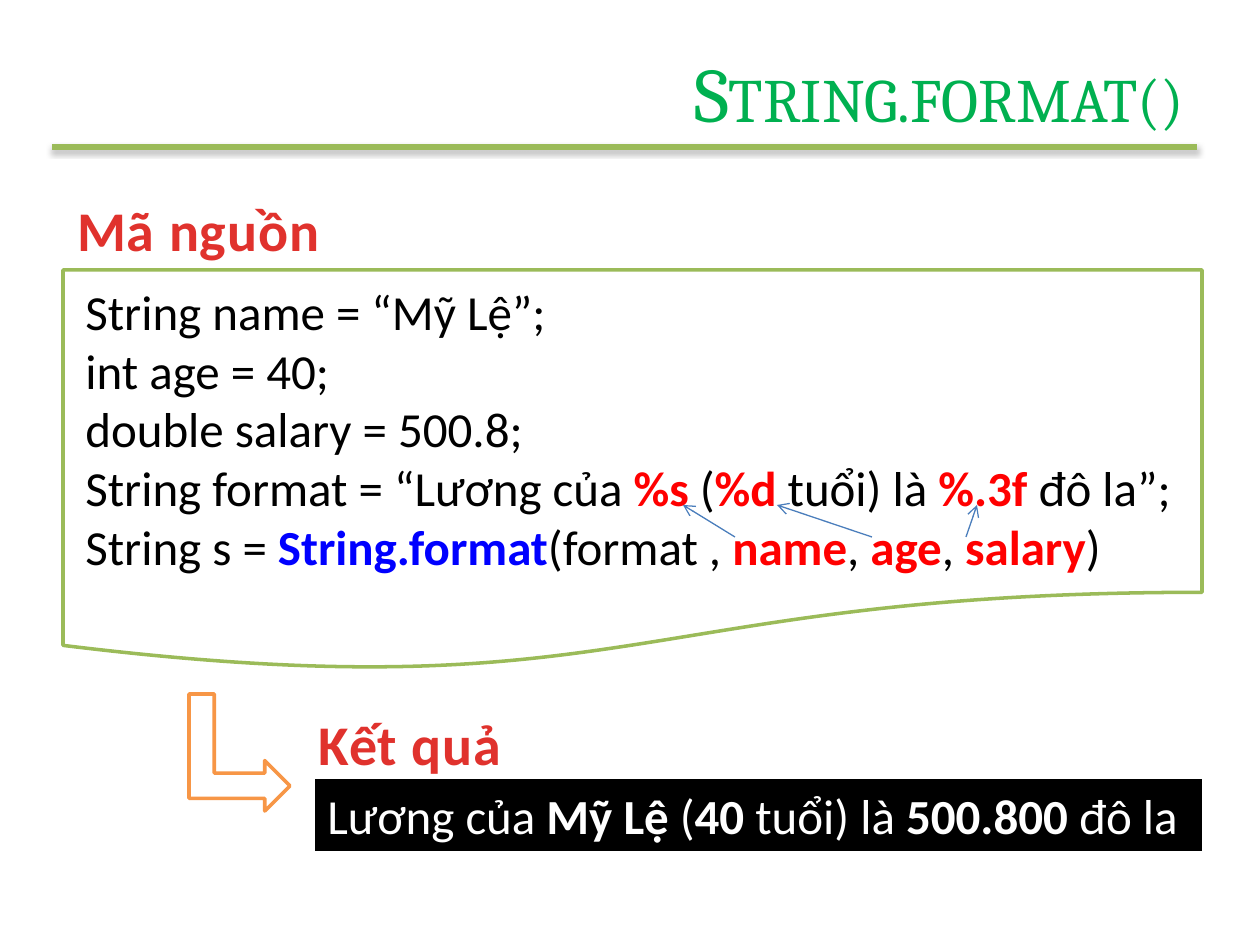
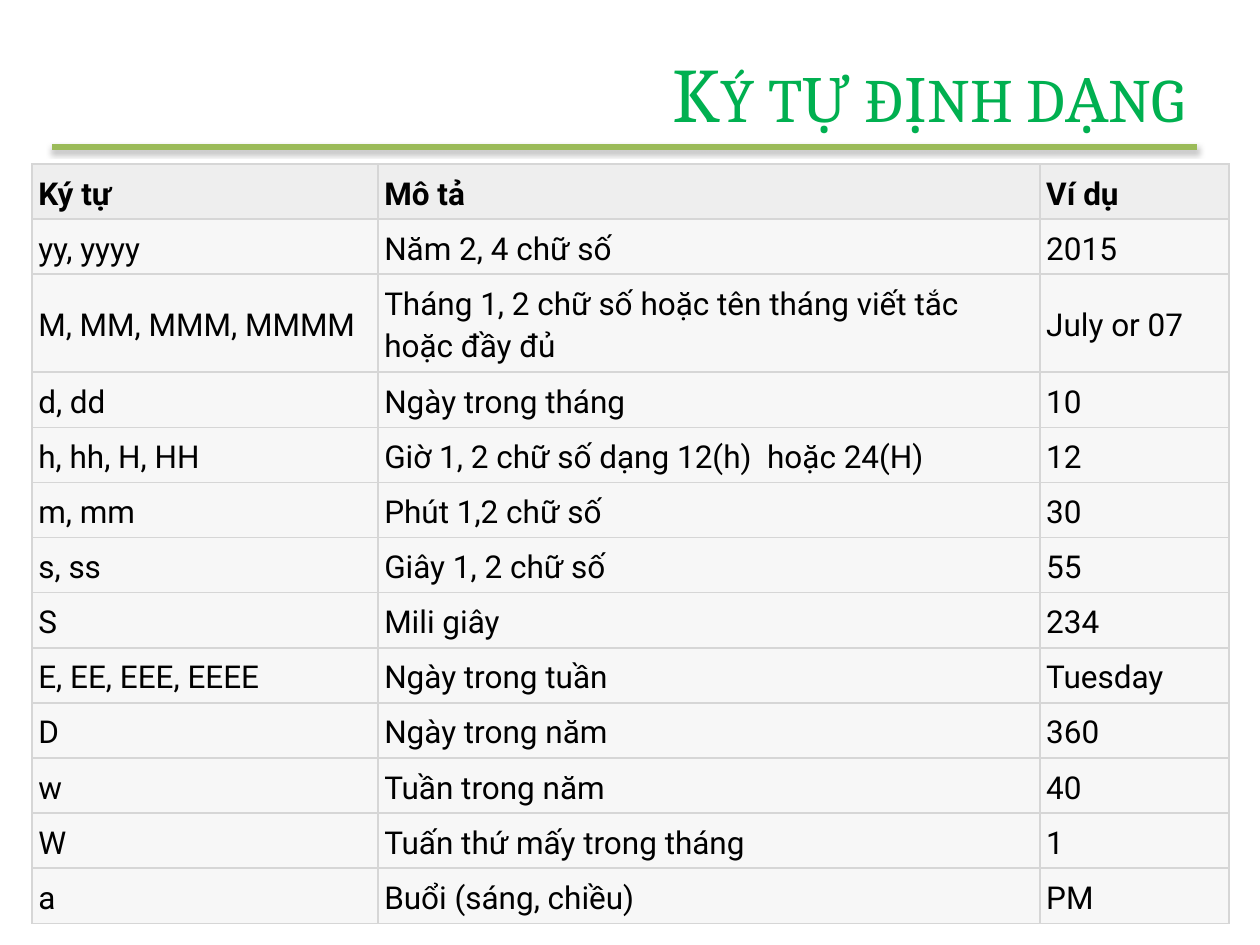
from lxml.etree import SubElement
from pptx import Presentation
from pptx.dml.color import RGBColor
from pptx.enum.shapes import MSO_CONNECTOR, MSO_SHAPE
from pptx.enum.text import MSO_ANCHOR, MSO_AUTO_SIZE, PP_ALIGN
from pptx.oxml import parse_xml
from pptx.oxml.ns import nsdecls, qn
from pptx.util import Emu, Pt

COLORS = {
    "title": "00B050", "rule": "9BBB59", "heading": "E0322D", "text": "000000",
    "paper": "FFFFFF", "mark": "FF0000", "method": "0000FF", "link": "4B7EBC",
    "arrow": "F79646", "border": "D6D6D6", "header": "EEEEEE", "body": "F7F7F7",
}

CODE = [
    [("String name = “Mỹ Lệ”;", None)],
    [("int age = 40;", None)],
    [("double salary = 500.8;", None)],
    [("String format = “Lương của ", None), ("%s", "mark"), (" (", None), ("%d ", "mark"),
     ("tuổi) là ", None), ("%.3f ", "mark"), ("đô la”;", None)],
    [("String s = ", None), ("String.format", "method"), ("(format , ", None),
     ("name", "mark"), (", ", None), ("age", "mark"), (", ", None),
     ("salary", "mark"), (")", None)],
]

RESULT = [[("Lương của ", None), ("Mỹ Lệ ", "paper"), ("(", None), ("40 ", "paper"),
           ("tuổi) là ", None), ("500.800 ", "paper"), ("đô la", None)]]

FORMATS = [
    ("Ký tự", "Mô tả", "Ví dụ"),
    ("yy, yyyy", "Năm 2, 4 chữ số", "2015"),
    ("M, MM, MMM, MMMM", "Tháng 1, 2 chữ số hoặc tên tháng viết tắc hoặc đầy đủ", "July or 07"),
    ("d, dd", "Ngày trong tháng", "10"),
    ("h, hh, H, HH", "Giờ 1, 2 chữ số dạng 12(h)  hoặc 24(H)", "12"),
    ("m, mm", "Phút 1,2 chữ số", "30"),
    ("s, ss", "Giây 1, 2 chữ số", "55"),
    ("S", "Mili giây", "234"),
    ("E, EE, EEE, EEEE", "Ngày trong tuần", "Tuesday"),
    ("D", "Ngày trong năm", "360"),
    ("w", "Tuần trong năm", "40"),
    ("W", "Tuấn thứ mấy trong tháng", "1"),
    ("a", "Buổi (sáng, chiều)", "PM"),
]
COLUMN_WIDTHS = (346, 662, 189)
ROW_HEIGHT, TALL_ROW, TALL_HEIGHT = 55, 2, 98


def px(n):
    """Turn pixels into EMU."""
    return Emu(round(n * 914400 / 126))


def box(*lengths):
    """Turn several pixel lengths into EMU."""
    return [px(n) for n in lengths]


def rgb(name):
    """Look up a named colour."""
    return RGBColor.from_string(COLORS[name])


def style(font, name, size, color, bold=False):
    """Set the usual properties of a font."""
    font.name, font.size, font.bold = name, Pt(size), bold
    font.color.rgb = rgb(color)


def add_line(slide, start, end, color, width):
    """Draw a straight connector with an empty effect list, and return it."""
    line = slide.shapes.add_connector(MSO_CONNECTOR.STRAIGHT, *box(*start, *end))
    line.line.color.rgb = rgb(color)
    line.line.width = Pt(width)
    SubElement(line._element.spPr, qn("a:effectLst"))
    return line


def add_arrow(slide, start, end):
    """Draw a thin arrow from an argument to its placeholder."""
    line = add_line(slide, start, end, "link", 0.75)
    SubElement(line.line._get_or_add_ln(), qn("a:tailEnd"), type="arrow")


def add_rule(slide):
    """Draw the shadowed rule below the title."""
    rule = add_line(slide, (52, 147), (1197, 147), "rule", 3)
    effects = rule._element.spPr.find(qn("a:effectLst"))
    effects.append(parse_xml(
        f'<a:outerShdw {nsdecls("a")} blurRad="40000" dist="23000" dir="5400000" rotWithShape="0">'
        '<a:srgbClr val="000000"><a:alpha val="35000"/></a:srgbClr></a:outerShdw>'))


def add_slide(prs, title):
    """Add a slide with the shared rule and title style."""
    slide = prs.slides.add_slide(prs.slide_layouts[5])
    add_rule(slide)
    sp = slide.shapes.title
    sp.left, sp.top, sp.width, sp.height = box(183, 38, 1014, 108)
    tf = sp.text_frame
    tf.text = title
    tf.auto_size = MSO_AUTO_SIZE.NONE
    tf.vertical_anchor = MSO_ANCHOR.MIDDLE
    p = tf.paragraphs[0]
    p.alignment = PP_ALIGN.RIGHT
    style(p.font, "Cambria", 44, "title")
    p.font._rPr.set("cap", "small")
    return slide


def add_outline(slide, shape, bounds, color):
    """Add a white shape with a coloured outline."""
    sp = slide.shapes.add_shape(shape, *box(*bounds))
    sp.shadow.inherit = False
    sp.fill.solid()
    sp.fill.fore_color.rgb = rgb("paper")
    sp.line.color.rgb = rgb(color)
    sp.line.width = Pt(2)
    return sp


def add_text(slide, bounds, lines, color="text"):
    """Add lines of runs, where a run with its own colour is bold."""
    sp = slide.shapes.add_textbox(*box(*bounds))
    tf = sp.text_frame
    tf.word_wrap = False
    tf.auto_size = MSO_AUTO_SIZE.SHAPE_TO_FIT_TEXT
    for i, line in enumerate(lines):
        p = tf.add_paragraph() if i else tf.paragraphs[0]
        style(p.font, "Calibri", 28, color)
        for text, accent in line:
            r = p.add_run()
            r.text = text
            if accent:
                r.font.bold = True
                r.font.color.rgb = rgb(accent)
    return sp


def add_heading(slide, bounds, text):
    """Add a red heading with wide letter spacing."""
    sp = add_text(slide, bounds, [[(text, None)]])
    p = sp.text_frame.paragraphs[0]
    p.alignment = PP_ALIGN.CENTER
    style(p.font, "Calibri", 32, "heading", True)
    p.font._rPr.set("spc", "50")


def fill_cell(cell, text, header):
    """Write and format one table cell."""
    cell.text = text
    cell.vertical_anchor = MSO_ANCHOR.MIDDLE
    cell.margin_left = cell.margin_right = cell.margin_top = cell.margin_bottom = Pt(3.6)
    cell.fill.solid()
    cell.fill.fore_color.rgb = rgb("header" if header else "body")
    p = cell.text_frame.paragraphs[0]
    p.line_spacing = 1.15
    style(p.font, "Roboto", 18, "text", header)
    tc_pr = cell._tc.get_or_add_tcPr()
    for i, side in enumerate("LRTB"):
        tc_pr.insert(i, parse_xml(
            f'<a:ln{side} {nsdecls("a")} w="12700"><a:solidFill>'
            f'<a:srgbClr val="{COLORS["border"]}"/></a:solidFill></a:ln{side}>'))


def add_format_table(slide):
    """Add the table of format characters."""
    height = ROW_HEIGHT * (len(FORMATS) - 1) + TALL_HEIGHT
    table = slide.shapes.add_table(len(FORMATS), len(COLUMN_WIDTHS),
                                   *box(32, 164, sum(COLUMN_WIDTHS), height)).table
    table.horz_banding = False
    for column, width in zip(table.columns, COLUMN_WIDTHS):
        column.width = px(width)
    for i, row in enumerate(FORMATS):
        table.rows[i].height = px(TALL_HEIGHT if i == TALL_ROW else ROW_HEIGHT)
        for j, text in enumerate(row):
            fill_cell(table.cell(i, j), text, i == 0)


def add_format_example(prs):
    """Build the slide with source code and its result."""
    slide = add_slide(prs, "String.format()")
    add_outline(slide, MSO_SHAPE.FLOWCHART_DOCUMENT, (63, 270, 1139, 402), "rule")
    add_text(slide, (73, 275, 1124, 310), CODE)
    result = add_text(slide, (315, 779, 887, 72), RESULT, "paper")
    result.fill.solid()
    result.fill.fore_color.rgb = rgb("text")
    for start, end in ((735, 683), (872, 777), (966, 977)):
        add_arrow(slide, (start, 537), (end, 505))
    add_heading(slide, (63, 189, 271, 81), "Mã nguồn")
    add_heading(slide, (305, 703, 210, 81), "Kết quả")
    bent = add_outline(slide, MSO_SHAPE.BENT_UP_ARROW, (181, 702, 117, 101), "arrow")
    bent.rotation = 90


def main():
    """Build and save the presentation."""
    prs = Presentation()
    prs.slide_width, prs.slide_height = box(1260, 945)
    add_format_example(prs)
    add_format_table(add_slide(prs, "Ký tự định dạng"))
    prs.save("out.pptx")


main()
